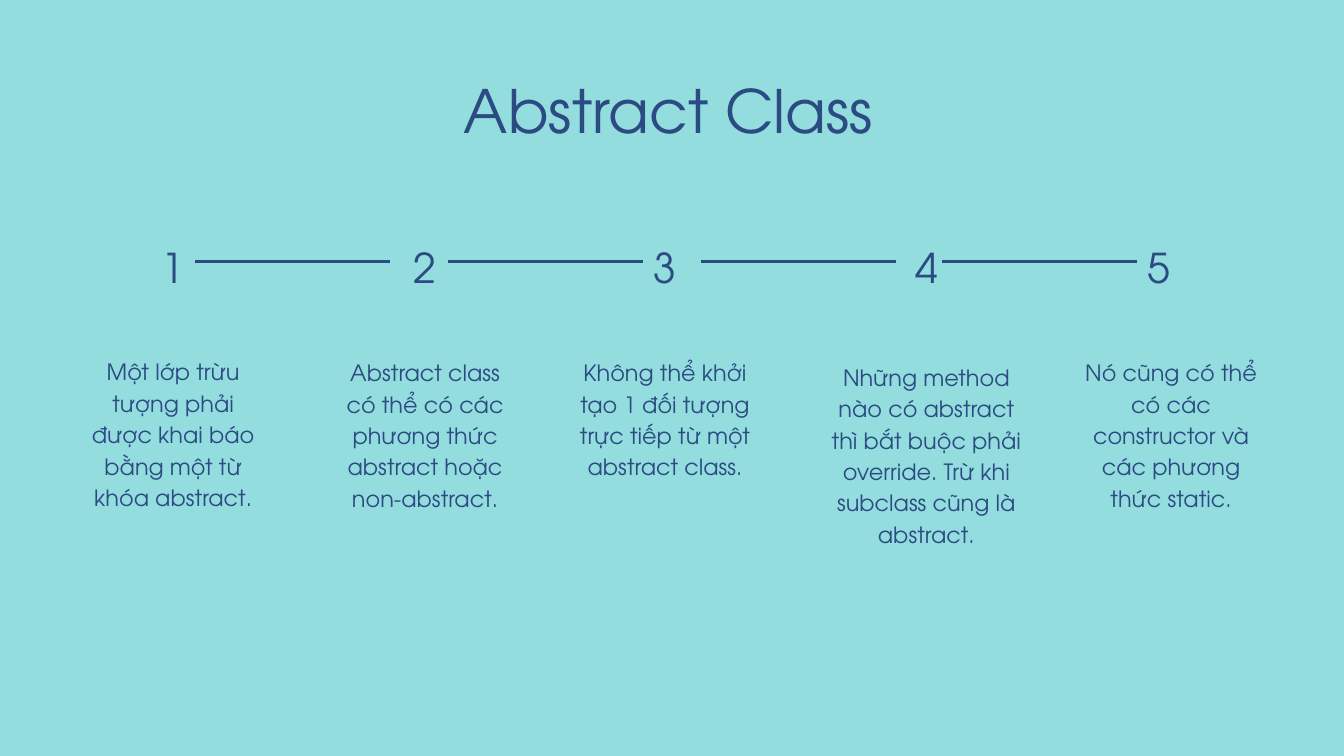
from dataclasses import dataclass

from lxml import etree
from pptx import Presentation
from pptx.dml.color import RGBColor
from pptx.enum import shapes, text
from pptx.oxml import ns
from pptx.util import Pt


@dataclass(frozen=True)
class Theme:
    background: RGBColor = RGBColor(0x94, 0xDD, 0xDE)
    ink: RGBColor = RGBColor(0x2B, 0x4B, 0x82)
    font: str = "TeX Gyre Adventor"
    title_size: float = 64
    number_size: float = 44
    body_size: float = 24
    line_width: float = 3


THEME = Theme()
NUMBER_TOP, NUMBER_WIDTH, NUMBER_HEIGHT = 250.5, 47.5, 59
LINE_Y, LINE_LENGTH = 280, 208.8
RIGHT, LEFT = 3, 1

# number left, then body left, top, width, height, and wording
STEPS = [
    (161.3, (88.6, 379.4, 193.7, 165.6),
     "Một lớp trừu tượng phải được khai báo bằng một từ khóa abstract."),
    (432, (360.7, 380.2, 189.4, 170.6),
     "Abstract class có thể có các phương thức abstract hoặc non-abstract."),
    (689, (615.6, 380.2, 193.7, 204.5),
     "Không thể khởi tạo 1 đối tượng trực tiếp từ một abstract class."),
    (969.1, (887, 385.2, 211, 138.2),
     "Những method nào có abstract thì bắt buộc phải override. "
     "Trừ khi subclass cũng là abstract."),
    (1218.2, (1157.8, 380.2, 193.7, 170.6),
     "Nó cũng có thể có các constructor và các phương thức static."),
]

# line start, and the indexes of the numbers it touches at its start and end
LINES = [(208.8, 0, None), (480, 1, 2), (751, None, None), (1009.4, None, 4)]


def add_text(slide, box, wording, size, line_spacing, letter_spacing=0):
    shape = slide.shapes.add_textbox(*map(Pt, box))
    frame = shape.text_frame
    frame.margin_left = frame.margin_right = 0
    frame.margin_top = frame.margin_bottom = 0
    frame.word_wrap = True
    paragraph = frame.paragraphs[0]
    paragraph.alignment = text.PP_ALIGN.CENTER
    paragraph.line_spacing = Pt(line_spacing)
    run = paragraph.add_run()
    run.text = wording
    run.font.name = THEME.font
    run.font.size = Pt(size)
    run.font.color.rgb = THEME.ink
    if letter_spacing:
        run.font._element.set("spc", str(round(letter_spacing * 100)))
    return shape


def add_number(slide, left, number):
    box = (left, NUMBER_TOP, NUMBER_WIDTH, NUMBER_HEIGHT)
    return add_text(slide, box, str(number), THEME.number_size, 61.6, 7.5)


def add_line(slide, start, before=None, after=None):
    """Draw a timeline line, joined to the number boxes that it touches."""
    line = slide.shapes.add_connector(
        shapes.MSO_CONNECTOR.STRAIGHT,
        Pt(start), Pt(LINE_Y), Pt(start + LINE_LENGTH), Pt(LINE_Y))
    line.line.color.rgb = THEME.ink
    line.line.width = Pt(THEME.line_width)
    etree.SubElement(line._element.spPr, ns.qn("a:effectLst"))
    if before is not None:
        line.begin_connect(before, RIGHT)
    if after is not None:
        line.end_connect(after, LEFT)


def main():
    presentation = Presentation()
    presentation.slide_width, presentation.slide_height = Pt(1440), Pt(810)
    slide = presentation.slides.add_slide(presentation.slide_layouts[6])
    slide.background.fill.solid()
    slide.background.fill.fore_color.rgb = THEME.background

    add_text(slide, (80.6, 79.2, 1270.8, 77.8), "Abstract Class",
             THEME.title_size, 76.8)
    numbers = []
    for number, (left, body_box, wording) in enumerate(STEPS, start=1):
        add_text(slide, body_box, wording, THEME.body_size, 33.6)
        numbers.append(add_number(slide, left, number))
    for start, before, after in LINES:
        add_line(slide, start,
                 None if before is None else numbers[before],
                 None if after is None else numbers[after])

    presentation.save("out.pptx")


if __name__ == "__main__":
    main()
